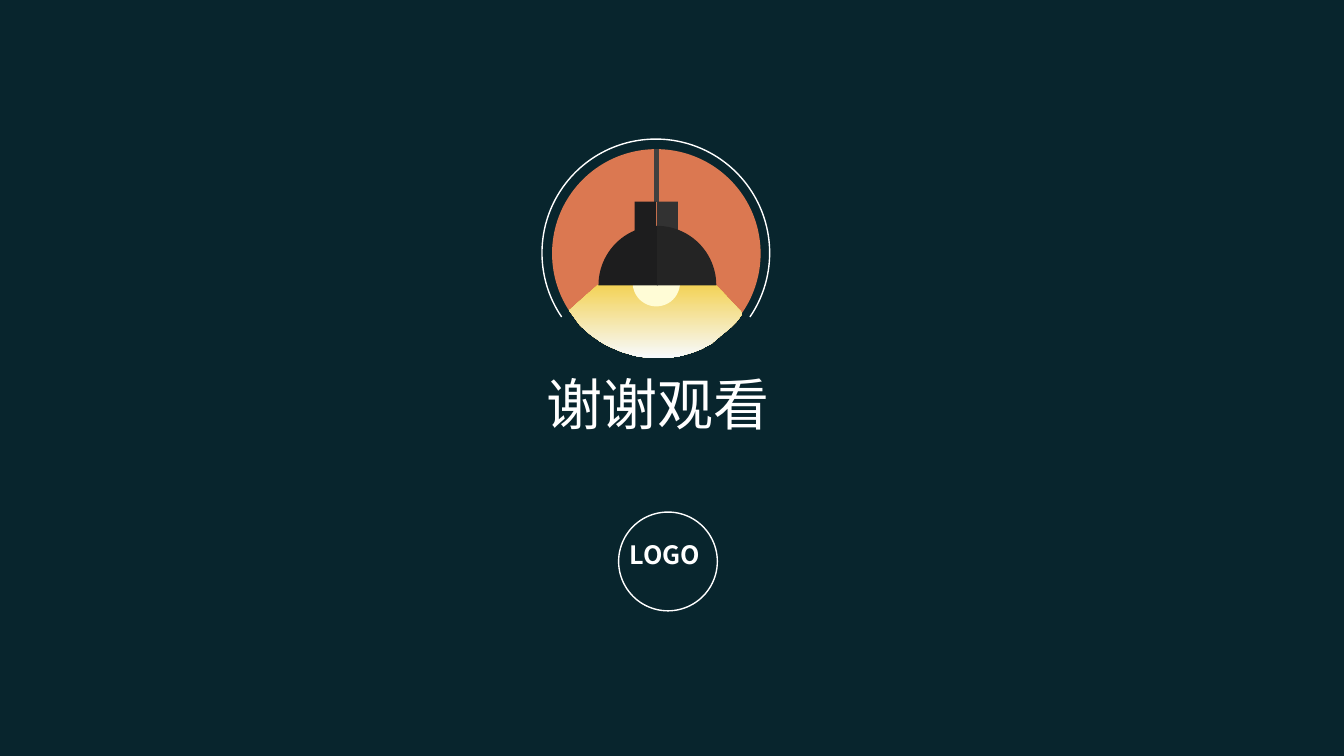
from dataclasses import dataclass

from lxml import etree
from pptx import Presentation
from pptx.dml.color import RGBColor
from pptx.enum.shapes import MSO_CONNECTOR, MSO_SHAPE as Preset
from pptx.enum.text import MSO_ANCHOR, MSO_AUTO_SIZE, PP_ALIGN
from pptx.oxml.ns import qn
from pptx.util import Inches, Pt


@dataclass(frozen=True)
class Theme:
    background: str = "08252D"
    white: str = "FFFFFF"
    disc: str = "DB7851"
    cord: str = "404040"
    lamp_dark: str = "1D1D1E"
    cap_light: str = "323232"
    dome_light: str = "242424"
    bulb: str = "FFFCD6"
    beam_top: str = "F3D255"
    beam_bottom: str = "F7FAFD"
    font: str = "Noto Sans CJK SC"
    title_size: int = 40
    logo_size: int = 18
    outline: float = 1
    cord_width: float = 3.5


THEME = Theme()

# Lower edge of the light beam: cubic curves as (control, control, end)
BEAM_START = [(5.94, 2.82), (5.65, 3.08), (5.76, 3.23)]
BEAM_CURVES = [
    [(5.9, 3.36), (5.9, 3.34), (5.96, 3.39)],
    [(6.03, 3.43), (6.03, 3.43), (6.17, 3.49)],
    [(6.36, 3.55), (6.37, 3.54), (6.47, 3.55)],
    [(6.57, 3.55), (6.6, 3.56), (6.76, 3.53)],
    [(6.97, 3.47), (6.96, 3.46), (7.06, 3.41)],
    [(7.14, 3.34), (7.19, 3.3), (7.25, 3.25)],
    [(7.33, 3.18), (7.33, 3.16), (7.37, 3.11)],
]
BEAM_END = (7.1, 2.82)


def rgb(color):
    return RGBColor.from_string(color)


def add_preset(shapes, preset, box, fill=None, line=None, angles=None):
    """Add a preset shape; angles are start and end in clockwise degrees."""
    shape = shapes.add_shape(preset, *map(Inches, box))
    shape.shadow.inherit = False
    if angles:
        for index, degrees in enumerate(angles):
            shape.adjustments[index] = degrees * 60000 / 100000
    if fill:
        shape.fill.solid()
        shape.fill.fore_color.rgb = rgb(fill)
    else:
        shape.fill.background()
    if line:
        shape.line.color.rgb = rgb(line)
        shape.line.width = Pt(THEME.outline)
    else:
        shape.line.fill.background()


def add_cord(shapes, x, top, bottom):
    cord = shapes.add_connector(MSO_CONNECTOR.STRAIGHT, Inches(x), Inches(top),
                                Inches(x), Inches(bottom))
    cord.line.color.rgb = rgb(THEME.cord)
    cord.line.width = Pt(THEME.cord_width)
    etree.SubElement(cord._element.spPr, qn("a:effectLst"))


def curve_points(start, first, second, end, steps=8):
    for step in range(1, steps + 1):
        t = step / steps
        weights = ((1 - t) ** 3, 3 * t * (1 - t) ** 2, 3 * t * t * (1 - t), t ** 3)
        yield tuple(sum(w * point[axis] for w, point in
                        zip(weights, (start, first, second, end)))
                    for axis in (0, 1))


def add_beam(shapes):
    outline = list(BEAM_START)
    for curve in BEAM_CURVES:
        outline.extend(curve_points(outline[-1], *curve))
    outline.append(BEAM_END)
    corners = [(Inches(x), Inches(y)) for x, y in outline]
    builder = shapes.build_freeform(*corners[0])
    builder.add_line_segments(corners[1:], close=True)
    beam = builder.convert_to_shape()
    beam.shadow.inherit = False
    beam.line.fill.background()
    beam.fill.gradient()
    beam.fill.gradient_angle = 270
    colors = (THEME.beam_top, THEME.beam_bottom)
    for position, (stop, color) in enumerate(zip(beam.fill.gradient_stops, colors)):
        stop.position = position
        stop.color.rgb = rgb(color)


def write_text(holder, box, text, size, bold=False, spacing=1.0):
    holder.left, holder.top, holder.width, holder.height = map(Inches, box)
    frame = holder.text_frame
    frame.word_wrap = True
    frame.auto_size = MSO_AUTO_SIZE.SHAPE_TO_FIT_TEXT
    frame.vertical_anchor = MSO_ANCHOR.TOP
    frame.text = text
    paragraph = frame.paragraphs[0]
    paragraph.alignment = PP_ALIGN.LEFT
    paragraph.line_spacing = spacing
    font = paragraph.font
    font.name = THEME.font
    font.size = Pt(size)
    font.bold = bold
    font.color.rgb = rgb(THEME.white)
    # East Asian typeface for the Chinese characters
    latin = font._element.find(qn("a:latin"))
    east_asian = etree.Element(qn("a:ea"), typeface=THEME.font)
    latin.addnext(east_asian)


def add_lamp(slide):
    lamp = slide.shapes.add_group_shape().shapes
    add_preset(lamp, Preset.OVAL, (5.48, 1.48, 2.07, 2.07), THEME.disc)
    add_cord(lamp, 6.52, 1.48, 2)
    add_beam(lamp)
    add_preset(lamp, Preset.PIE, (6.28, 2.57, 0.47, 0.47), THEME.bulb, angles=(0, 180))
    # Cap and dome, each in a dark left and a lighter right half
    for left, color in ((6.3, THEME.lamp_dark), (6.52, THEME.cap_light)):
        add_preset(lamp, Preset.RECTANGLE, (left, 2, 0.21, 0.31), color)
    for left, color, angles in ((5.94, THEME.lamp_dark, (180, 270)),
                                (5.93, THEME.dome_light, (270, 0))):
        add_preset(lamp, Preset.PIE, (left, 2.24, 1.18, 1.18), color, angles=angles)


def main():
    deck = Presentation()
    deck.slide_width, deck.slide_height = Inches(13.34), Inches(7.5)
    slide = deck.slides.add_slide(deck.slide_layouts[5])
    slide.background.fill.solid()
    slide.background.fill.fore_color.rgb = rgb(THEME.background)

    # Lamp emblem with its open ring
    add_lamp(slide)
    add_preset(slide.shapes, Preset.ARC, (5.38, 1.38, 2.26, 2.26),
               line=THEME.white, angles=(145.8, 34.2))

    # Closing words
    write_text(slide.shapes.title, (5.32, 3.62, 2.54, 0.77), "谢谢观看", THEME.title_size)

    # Logo placeholder badge
    add_preset(slide.shapes, Preset.OVAL, (6.14, 5.08, 0.98, 0.98), line=THEME.white)
    logo = slide.shapes.add_textbox(0, 0, 0, 0)
    write_text(logo, (6.15, 5.34, 1.05, 0.37), "LOGO", THEME.logo_size,
               bold=True, spacing=0.9)

    deck.save("out.pptx")


if __name__ == "__main__":
    main()
